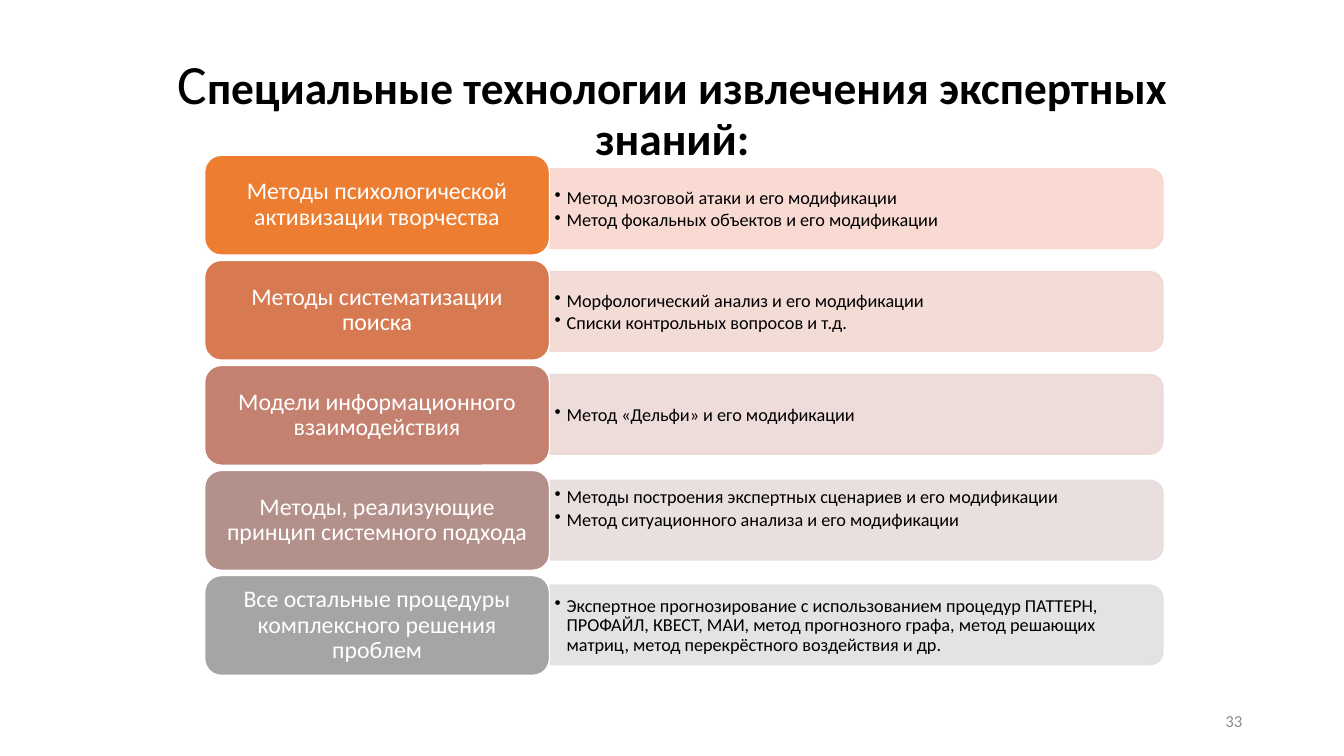
from lxml import etree
from pptx import Presentation
from pptx import util as u
from pptx.dml.color import RGBColor
from pptx.enum import shapes, text
from pptx.oxml.ns import qn

PX = 9144
FONT = "Calibri"
BLACK = RGBColor(0x00, 0x00, 0x00)
WHITE = RGBColor(0xFF, 0xFF, 0xFF)
GREY = RGBColor(0x8C, 0x8C, 0x8C)

CARD_TOP, CARD_PITCH = 154, 104.25
PANEL_OFFSET = 269

# Each row: card colour, panel colour, note top, note lift, heading, notes
ROWS = [
    (RGBColor(0xED, 0x7D, 0x31), RGBColor(0xF8, 0xD7, 0xCE), 172, 0,
     "Методы психологической активизации творчества",
     ["Метод мозговой атаки и его модификации",
      "Метод фокальных объектов и его модификации"]),
    (RGBColor(0xD8, 0x7A, 0x51), RGBColor(0xF2, 0xD8, 0xD2), 274, 0,
     "Методы систематизации поиска",
     ["Морфологический анализ и его модификации",
      "Списки контрольных вопросов и т.д."]),
    (RGBColor(0xC4, 0x81, 0x70), RGBColor(0xED, 0xD9, 0xD7), 376, 0,
     "Модели информационного взаимодействия",
     ["Метод «Дельфи» и его модификации"]),
    (RGBColor(0xB4, 0x90, 0x8B), RGBColor(0xE7, 0xDC, 0xDC), 481, 12,
     "Методы, реализующие принцип системного подхода",
     ["Методы построения экспертных сценариев и его модификации",
      "Метод ситуационного анализа и его модификации"]),
    (RGBColor(0xA5, 0xA5, 0xA5), RGBColor(0xE1, 0xE1, 0xE1), 585, 0,
     "Все остальные процедуры комплексного решения проблем",
     ["Экспертное прогнозирование с использованием процедур ПАТТЕРН, "
      "ПРОФАЙЛ, КВЕСТ, МАИ, метод прогнозного графа, метод решающих "
      "матриц, метод перекрёстного воздействия и др."]),
]


def px(*lengths):
    """Turn px lengths into EMU."""
    return [round(length * PX) for length in lengths]


def set_frame(box, side, upright, anchor=text.MSO_ANCHOR.MIDDLE):
    """Set wrapping, insets and anchor, and return the text frame."""
    frame = box.text_frame
    frame.word_wrap = True
    frame.margin_left = frame.margin_right = side * PX
    frame.margin_top = frame.margin_bottom = upright * PX
    frame.vertical_anchor = anchor
    return frame


def style(para, size, colour, align, spacing=0.9):
    """Set the font, alignment and line spacing of a paragraph."""
    para.font.name = FONT
    para.font.size = u.Pt(size)
    para.font.color.rgb = colour
    para.alignment = align
    para.line_spacing = spacing


def add_block(page, preset, place, fill, line):
    """Add a filled, outlined preset shape without a shadow."""
    block = page.shapes.add_shape(preset, *px(*place))
    block.shadow.inherit = False
    block.fill.solid()
    block.fill.fore_color.rgb = fill
    block.line.color.rgb = line
    block.line.width = u.Pt(1)
    return block


def add_panel(page, top, colour):
    """Add a pale panel rounded on its right side."""
    panel = add_block(page, shapes.MSO_SHAPE.ROUND_2_SAME_RECTANGLE,
                      (810, top, 79, 608), colour, colour)
    panel.rotation = 90
    for tint in panel.element.spPr.iter(qn("a:srgbClr")):
        etree.SubElement(tint, qn("a:alpha"), val="90000")


def add_notes(page, top, notes):
    """Add the bulleted notes that lie on a panel."""
    box = page.shapes.add_textbox(*px(545, top, 605, 72))
    frame = set_frame(box, 5, 3)
    for index, note in enumerate(notes):
        para = frame.add_paragraph() if index else frame.paragraphs[0]
        para.text = note
        style(para, 13, BLACK, text.PP_ALIGN.LEFT)
        para.space_after = u.Pt(2)
        properties = para._p.get_or_add_pPr()
        properties.set("marL", str(12 * PX))
        properties.set("indent", str(-12 * PX))
        etree.SubElement(properties, qn("a:buChar"), char="•")
        properties.append(properties.find(qn("a:defRPr")))


def add_card(page, top, colour, heading):
    """Add a rounded card with a centred heading."""
    card = add_block(page, shapes.MSO_SHAPE.ROUNDED_RECTANGLE,
                     (203, top, 342, 99), colour, WHITE)
    para = set_frame(card, 7, 4).paragraphs[0]
    para.text = heading
    style(para, 17, WHITE, text.PP_ALIGN.CENTER)


def add_title(page):
    """Add the title with its larger first letter."""
    box = page.shapes.add_textbox(*px(92, 56, 1150, 97))
    para = set_frame(box, 10, 0, text.MSO_ANCHOR.TOP).paragraphs[0]
    style(para, 32.4, BLACK, text.PP_ALIGN.CENTER)
    initial = para.add_run()
    initial.text = "С"
    initial.font.size = u.Pt(39.6)
    span = para.add_run()
    span.text = "пециальные технологии извлечения экспертных знаний:"
    span.font.bold = True


def add_number(page):
    """Add the slide number."""
    box = page.shapes.add_textbox(*px(942, 695, 300, 40))
    para = set_frame(box, 10, 5).paragraphs[0]
    para.text = "33"
    style(para, 12, GREY, text.PP_ALIGN.RIGHT, 1.0)


def main():
    """Build the slide and save it."""
    deck = Presentation()
    deck.slide_width, deck.slide_height = u.Inches(13.33), u.Inches(7.5)
    page = deck.slides.add_slide(deck.slide_layouts[6])
    add_title(page)
    for index, row in enumerate(ROWS):
        card_colour, panel_colour, note_top, lift, heading, notes = row
        add_panel(page, note_top - PANEL_OFFSET, panel_colour)
        add_notes(page, note_top - lift, notes)
        add_card(page, CARD_TOP + index * CARD_PITCH, card_colour, heading)
    add_number(page)
    deck.save("out.pptx")


if __name__ == "__main__":
    main()
